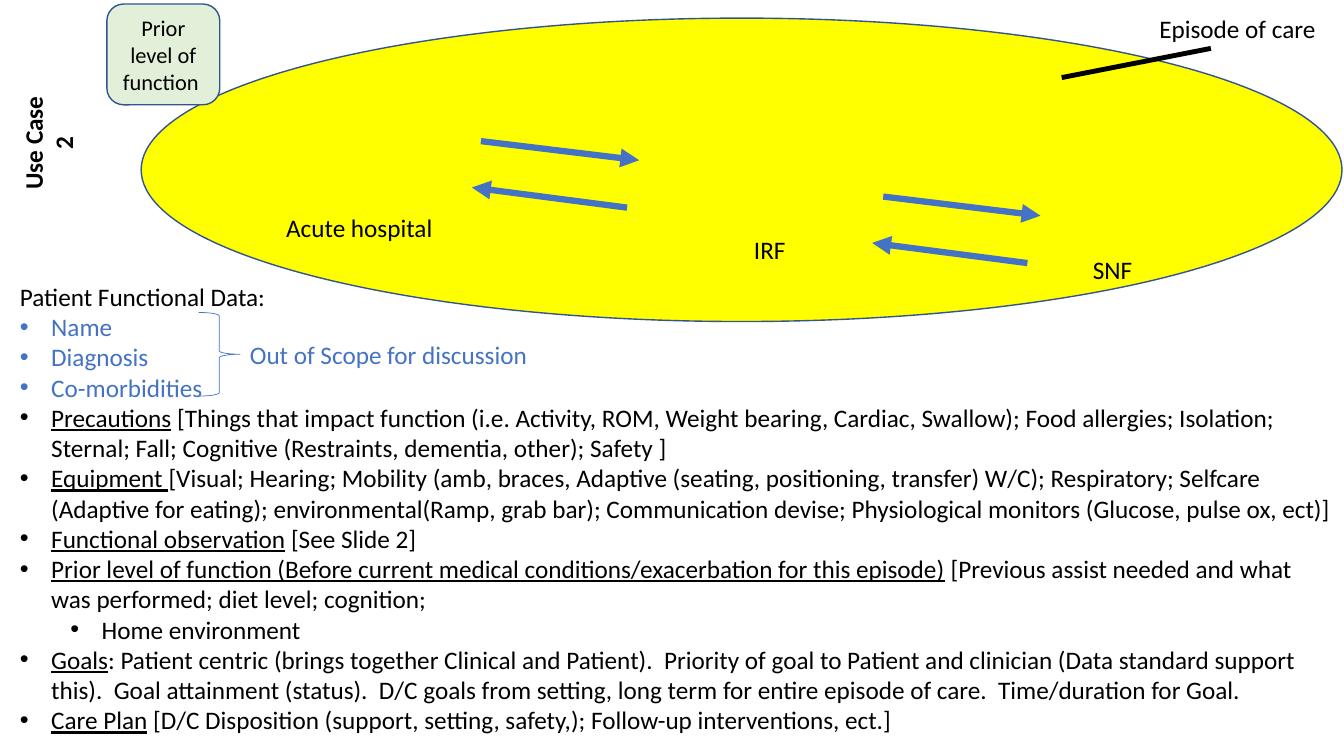
from lxml.etree import SubElement
from pptx import Presentation
from pptx.dml.color import RGBColor
from pptx.enum.shapes import MSO_CONNECTOR, MSO_SHAPE
from pptx.enum.text import MSO_ANCHOR, MSO_AUTO_SIZE, PP_ALIGN
from pptx.oxml.ns import qn
from pptx.util import Pt

EMU_PER_PX = 9144
FONT = "Calibri"
BLACK = RGBColor(0x00, 0x00, 0x00)
BLUE = RGBColor(0x44, 0x72, 0xC4)
DARK_BLUE = RGBColor(0x32, 0x54, 0x91)
YELLOW = RGBColor(0xFF, 0xFF, 0x00)
PALE_GREEN = RGBColor(0xE2, 0xF0, 0xD9)

LABELS = [
    ("Acute hospital", (274, 206, 197, 40), BLACK, True),
    ("IRF", (738, 228, 73, 40), BLACK, True),
    ("SNF", (1074, 247, 73, 40), BLACK, True),
    ("Episode of care", (1140, 8, 177, 40), BLACK, False),
    ("Out of Scope for discussion", (238, 332, 327, 40), BLUE, True),
]
TRANSFERS = [
    ((477, 140), (634, 159)),
    ((622, 206), (468, 186)),
    ((876, 195), (1032, 214)),
    ((1019, 261), (865, 241)),
]
OUT_OF_SCOPE = ["Name", "Diagnosis", "Co-morbidities"]
IN_SCOPE = [
    (0, "Precautions", " [Things that impact function (i.e. Activity, ROM, Weight bearing, "
     "Cardiac, Swallow); Food allergies; Isolation; Sternal; Fall; Cognitive "
     "(Restraints, dementia, other); Safety ]"),
    (0, "Equipment ", "[Visual; Hearing; Mobility (amb, braces, Adaptive (seating, "
     "positioning, transfer) W/C); Respiratory; Selfcare (Adaptive for eating); "
     "environmental(Ramp, grab bar); Communication devise; Physiological monitors "
     "(Glucose, pulse ox, ect)]"),
    (0, "Functional observation", " [See Slide 2]"),
    (0, "Prior level of function (Before current medical conditions/exacerbation for "
     "this episode)", " [Previous assist needed and what was performed; diet level; "
     "cognition;"),
    (1, "", "Home environment"),
    (0, "Goals", ": Patient centric (brings together Clinical and Patient).  Priority of "
     "goal to Patient and clinician (Data standard support this).  Goal attainment "
     "(status).  D/C goals from setting, long term for entire episode of care.  "
     "Time/duration for Goal."),
    (0, "Care Plan", " [D/C Disposition (support, setting, safety,); Follow-up "
     "interventions, ect.]"),
]


def px(*lengths):
    """Turn pixel lengths into EMU."""
    return [length * EMU_PER_PX for length in lengths]


def format_runs(paragraph, color, size=18, bold=False):
    """Give every run of a paragraph its font."""
    for run in paragraph.runs:
        run.font.name = FONT
        run.font.size = Pt(size)
        run.font.bold = bold
        run.font.color.rgb = color


def add_label(slide, text, box, color, wrap):
    """Add a one-line text box."""
    shape = slide.shapes.add_textbox(*px(*box))
    text_frame = shape.text_frame
    text_frame.text = text
    text_frame.word_wrap = wrap
    format_runs(text_frame.paragraphs[0], color)


def add_outline(slide, preset, box, line_color, line_width, fill=None):
    """Add a preset shape with an outline and an optional fill."""
    shape = slide.shapes.add_shape(preset, *px(*box))
    shape.shadow.inherit = False
    shape.line.color.rgb = line_color
    shape.line.width = Pt(line_width)
    if fill is None:
        shape.fill.background()
    else:
        shape.fill.solid()
        shape.fill.fore_color.rgb = fill
    return shape


def add_line(slide, start, end, color, width, arrow=False):
    """Add a straight line, with an arrowhead at its end if asked."""
    line = slide.shapes.add_connector(MSO_CONNECTOR.STRAIGHT, *px(*start, *end))
    line.line.color.rgb = color
    line.line.width = Pt(width)
    if arrow:
        SubElement(line.line._get_or_add_ln(), qn("a:tailEnd"), type="triangle")
    SubElement(line._element.spPr, qn("a:effectLst"))


def add_bullet(text_frame, level, heading, detail, color):
    """Add a bulleted paragraph with an underlined heading."""
    paragraph = text_frame.add_paragraph()
    paragraph.level = level
    properties = paragraph._p.get_or_add_pPr()
    left, hanging = px(31 + 50 * level, -31)
    properties.set("marL", str(left))
    properties.set("indent", str(hanging))
    SubElement(properties, qn("a:buFont"), typeface="Arial")
    SubElement(properties, qn("a:buChar"), char="•")
    for text, underline in ((heading, True), (detail, False)):
        if text:
            run = paragraph.add_run()
            run.text = text
            run.font.underline = underline
    format_runs(paragraph, color)


def add_functional_data(slide):
    """Add the list of patient functional data."""
    shape = slide.shapes.add_textbox(*px(10, 274, 1324, 495))
    text_frame = shape.text_frame
    text_frame.word_wrap = True
    text_frame.text = "Patient Functional Data:"
    format_runs(text_frame.paragraphs[0], BLACK)
    for item in OUT_OF_SCOPE:
        add_bullet(text_frame, 0, "", item, BLUE)
    for level, heading, detail in IN_SCOPE:
        add_bullet(text_frame, level, heading, detail, BLACK)


def add_prior_level(slide):
    """Add the rounded box for the prior level of function."""
    shape = add_outline(slide, MSO_SHAPE.ROUNDED_RECTANGLE, (106, 4, 112, 100),
                        DARK_BLUE, 1, PALE_GREEN)
    text_frame = shape.text_frame
    text_frame.text = "Prior level of function "
    text_frame.word_wrap = True
    text_frame.vertical_anchor = MSO_ANCHOR.MIDDLE
    paragraph = text_frame.paragraphs[0]
    paragraph.alignment = PP_ALIGN.CENTER
    format_runs(paragraph, BLACK, size=16)


def set_title(slide, text):
    """Turn the title sideways along the left edge."""
    title = slide.shapes.title
    title.left, title.top, title.width, title.height = px(-18, 122, 131, 40)
    title.rotation = 270
    text_frame = title.text_frame
    text_frame.text = text
    text_frame.word_wrap = False
    text_frame.auto_size = MSO_AUTO_SIZE.NONE
    text_frame.vertical_anchor = MSO_ANCHOR.MIDDLE
    paragraph = text_frame.paragraphs[0]
    paragraph.alignment = PP_ALIGN.CENTER
    format_runs(paragraph, BLACK, bold=True)


def main():
    """Build the slide and save it."""
    presentation = Presentation()
    presentation.slide_width, presentation.slide_height = px(1333, 750)
    slide = presentation.slides.add_slide(presentation.slide_layouts[5])
    set_title(slide, "Use Case 2")
    add_outline(slide, MSO_SHAPE.OVAL, (140, 18, 1191, 301), DARK_BLUE, 1, YELLOW)
    for start, end in TRANSFERS:
        add_line(slide, start, end, BLUE, 4.5, arrow=True)
    add_functional_data(slide)
    add_line(slide, (1053, 77), (1201, 48), BLACK, 3.5)
    add_prior_level(slide)
    add_outline(slide, MSO_SHAPE.RIGHT_BRACE, (197, 310, 41, 83), BLUE, 0.5)
    for text, box, color, wrap in LABELS:
        add_label(slide, text, box, color, wrap)
    presentation.save("out.pptx")


if __name__ == "__main__":
    main()
